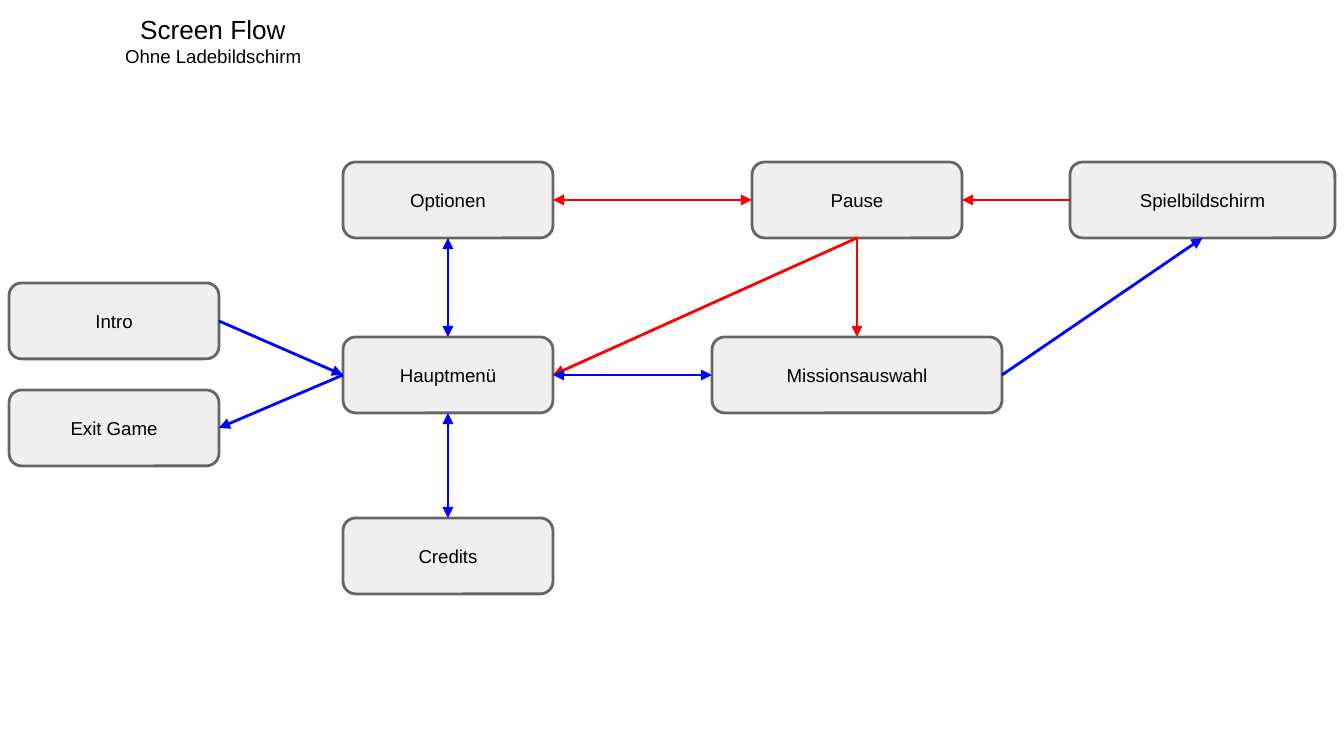
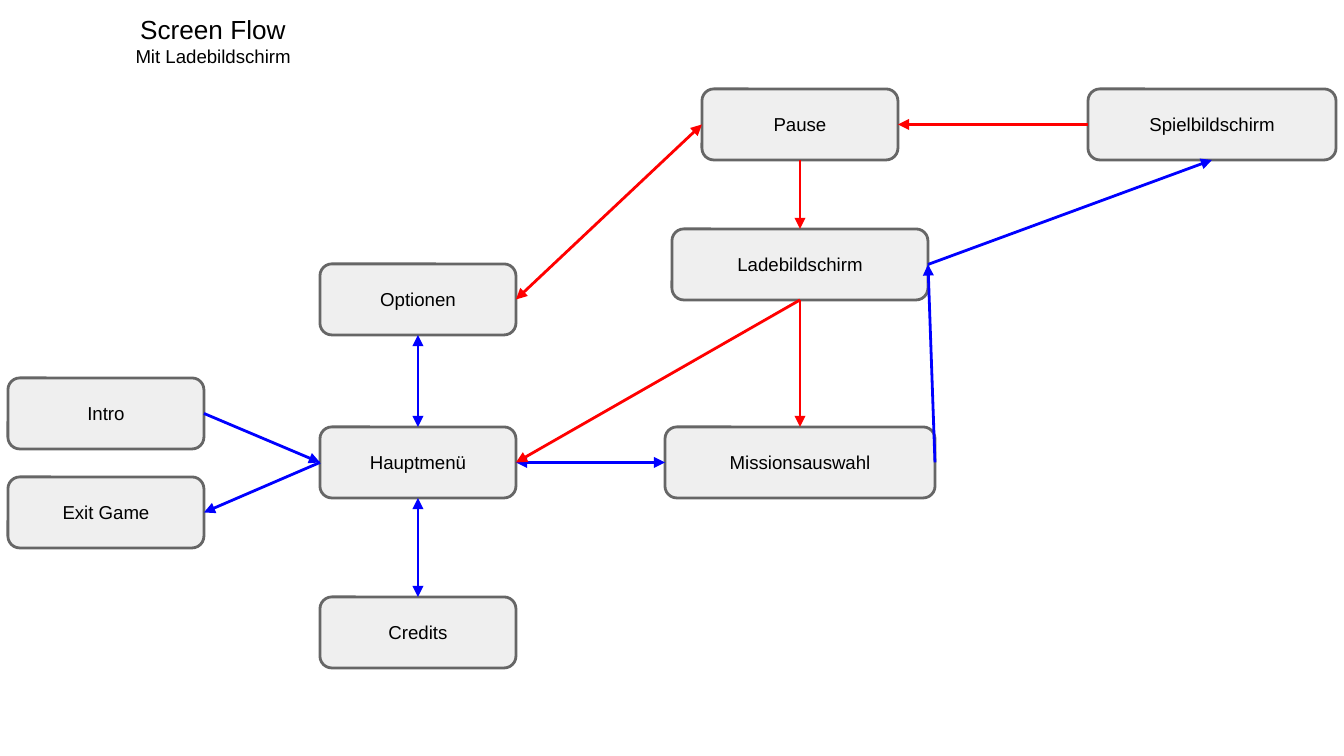
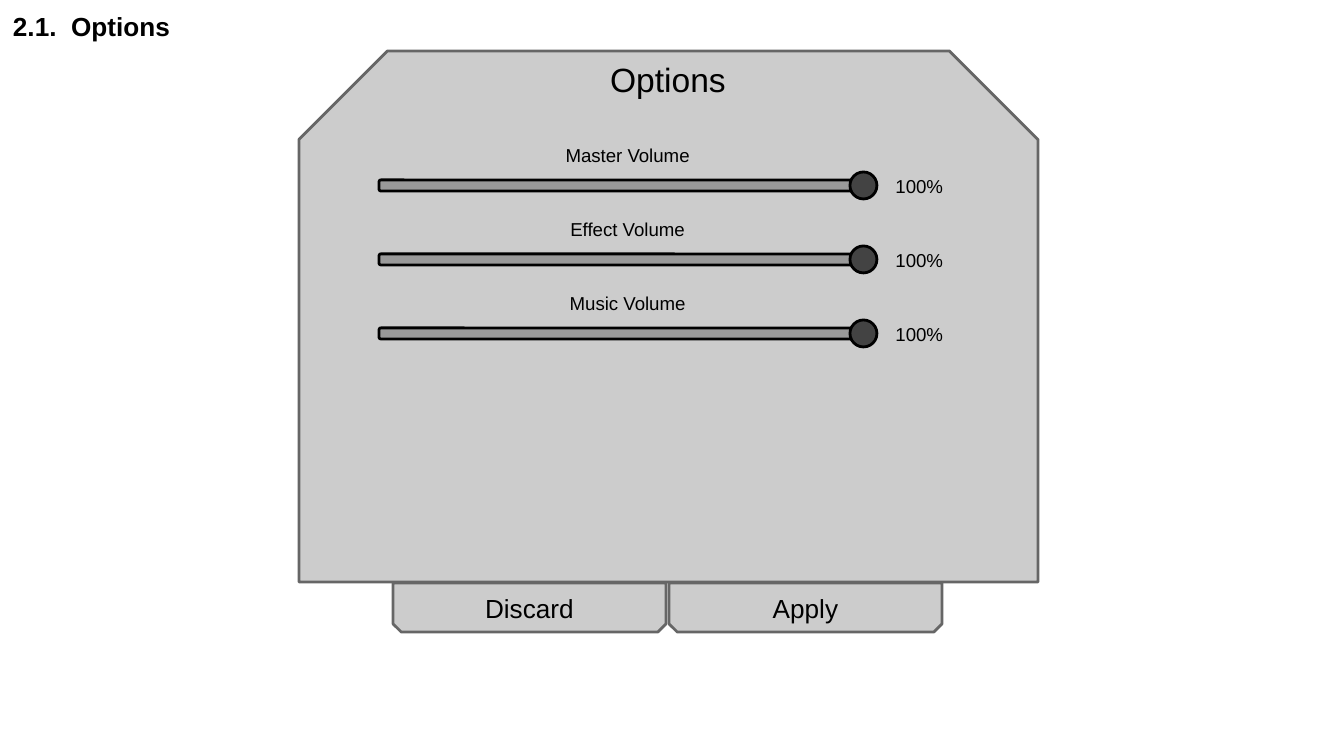
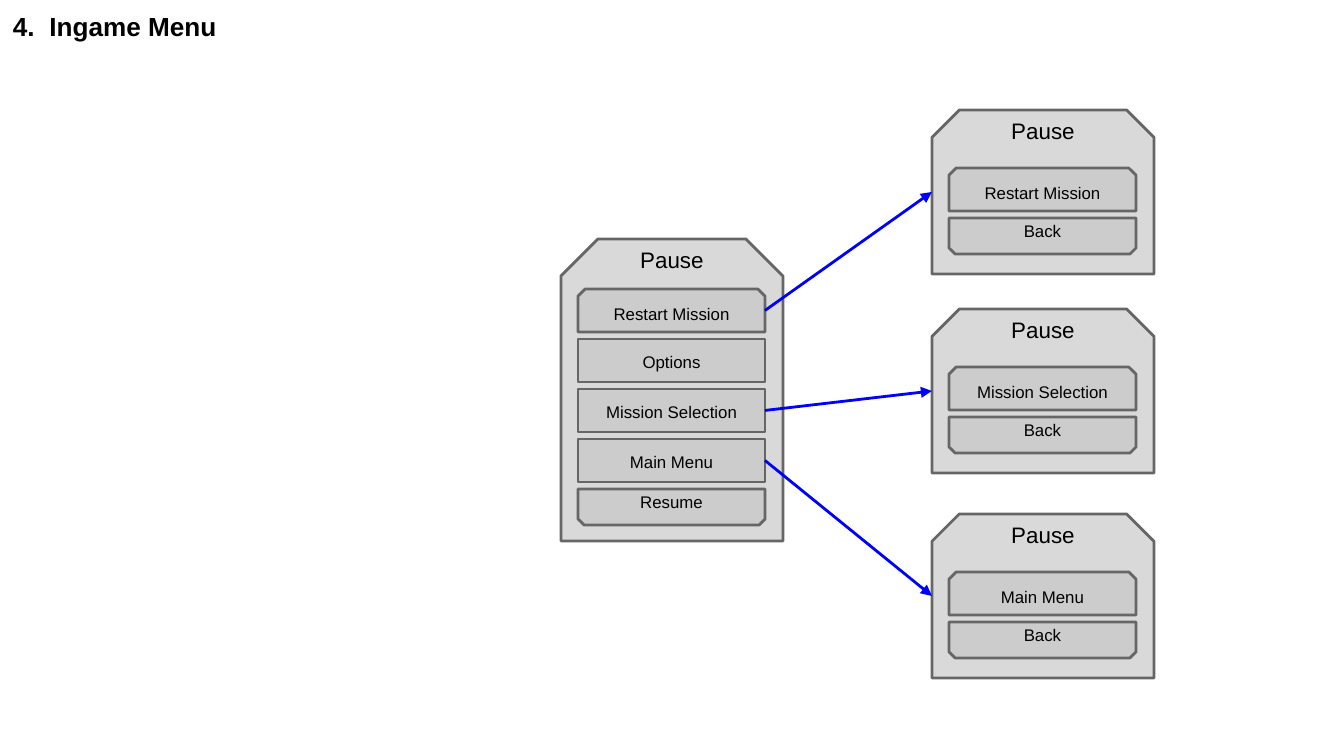
from lxml.etree import SubElement as Sub
from pptx import Presentation
from pptx.dml.color import RGBColor
from pptx.enum.shapes import MSO_CONNECTOR as Link, MSO_SHAPE as Kind
from pptx.enum.text import MSO_ANCHOR as Anchor, PP_ALIGN as Align
from pptx.oxml.ns import qn
from pptx.util import Pt

# Shared look; one px is 1/134.4 inch
PX = 914400 / 134.4
hue = RGBColor.from_string
BLACK, EDGE, PALE, GREY, PANEL = "000000", "666666", "EFEFEF", "CCCCCC", "D9D9D9"
BLUE, RED = "0000FF", "FF0000"
FRAME = {"word_wrap": True}
FRAME.update({f"margin_{side}": round(13 * PX) for side in ("left", "top", "right", "bottom")})
SIDES = {"l": (0, 0.5), "r": (1, 0.5), "t": (0.5, 0), "b": (0.5, 1)}
SNIP, ROUND = Kind.SNIP_2_SAME_RECTANGLE, Kind.ROUNDED_RECTANGLE
TITLE = {"sizes": (14,), "bold": True, "align": Align.LEFT, "anchor": Anchor.BOTTOM}


def box(page, at, text="", sizes=(10,), kind=None, fill=None, edge=EDGE, turn=0,
        anchor=Anchor.TOP, align=Align.CENTER, bold=False, lead=None):
    """Add a preset shape, or a text box if no kind is given."""
    place = [round(n * PX) for n in at]
    if kind is None:
        item = page.shapes.add_textbox(*place)
    else:
        item = page.shapes.add_shape(kind, *place)
        item.shadow.inherit = False
        item.rotation = turn
        item.fill.solid()
        item.fill.fore_color.rgb = hue(fill)
        item.line.color.rgb = hue(edge)
        item.line.width = Pt(1.5)
    if text:
        frame = item.text_frame
        frame.text = text
        for key, val in {**FRAME, "vertical_anchor": anchor}.items():
            setattr(frame, key, val)
        for para, size in zip(frame.paragraphs, sizes):
            for key, val in {"alignment": align, "line_spacing": lead}.items():
                setattr(para, key, val)
            font = para.runs[0].font
            for key, val in {"name": "Arial", "size": Pt(size), "bold": bold}.items():
                setattr(font, key, val)
            font.color.rgb = hue(BLACK)
    return item


def arrow(page, start, out, end, into, color, both=False):
    """Link the side of one shape to the side of another."""
    ends = []
    for item, side in ((start, out), (end, into)):
        dx, dy = SIDES[side]
        ends += [round(item.left + dx * item.width), round(item.top + dy * item.height)]
    link = page.shapes.add_connector(Link.STRAIGHT, *ends)
    link.line.color.rgb = hue(color)
    link.line.width = Pt(1.5)
    props = link._element.spPr
    line = props.find(qn("a:ln"))
    for tip in ("a:headEnd", "a:tailEnd") if both else ("a:tailEnd",):
        Sub(line, qn(tip), type="triangle")
    Sub(props, qn("a:effectLst"))


deck = Presentation()
deck.slide_width, deck.slide_height = round(1344 * PX), round(756 * PX)
blank = deck.slide_layouts[6]

# Screen flows: note, box width and height, boxes (x, y, own width), arrows
flows = [
    ("Ohne Ladebildschirm", 210, 76, {
        "Exit Game": (9, 390), "Hauptmenü": (343, 337), "Optionen": (343, 162),
        "Credits": (343, 518), "Missionsauswahl": (712, 337, 290),
        "Spielbildschirm": (1070, 162, 265), "Pause": (752, 162), "Intro": (9, 283),
    }, [
        ("Hauptmenü", "l", "Exit Game", "r", BLUE),
        ("Hauptmenü", "t", "Optionen", "b", BLUE, True),
        ("Hauptmenü", "b", "Credits", "t", BLUE, True),
        ("Spielbildschirm", "l", "Pause", "r", RED),
        ("Pause", "l", "Optionen", "r", RED, True),
        ("Pause", "b", "Hauptmenü", "r", RED),
        ("Pause", "b", "Missionsauswahl", "t", RED),
        ("Missionsauswahl", "r", "Spielbildschirm", "b", BLUE),
        ("Intro", "r", "Hauptmenü", "l", BLUE),
        ("Hauptmenü", "r", "Missionsauswahl", "l", BLUE, True),
    ]),
    ("Mit Ladebildschirm", 196, 71, {
        "Exit Game": (8, 477), "Hauptmenü": (320, 427), "Optionen": (320, 264),
        "Credits": (320, 597), "Missionsauswahl": (665, 427, 270),
        "Spielbildschirm": (1088, 89, 248), "Pause": (702, 89),
        "Ladebildschirm": (672, 229, 256), "Intro": (8, 378),
    }, [
        ("Hauptmenü", "l", "Exit Game", "r", BLUE),
        ("Hauptmenü", "r", "Missionsauswahl", "l", BLUE, True),
        ("Hauptmenü", "t", "Optionen", "b", BLUE, True),
        ("Hauptmenü", "b", "Credits", "t", BLUE, True),
        ("Ladebildschirm", "r", "Spielbildschirm", "b", BLUE),
        ("Spielbildschirm", "l", "Pause", "r", RED),
        ("Pause", "l", "Optionen", "r", RED, True),
        ("Pause", "b", "Ladebildschirm", "t", RED),
        ("Ladebildschirm", "b", "Hauptmenü", "r", RED),
        ("Ladebildschirm", "b", "Missionsauswahl", "t", RED),
        ("Missionsauswahl", "r", "Ladebildschirm", "r", BLUE),
        ("Intro", "r", "Hauptmenü", "l", BLUE),
    ]),
]
for note, wide, high, spots, links in flows:
    page = deck.slides.add_slide(blank)
    nodes = {}
    for name, (x, y, *own) in spots.items():
        at = (x, y, own[0] if own else wide, high)
        nodes[name] = box(page, at, name, kind=ROUND, fill=PALE, anchor=Anchor.MIDDLE)
    for start, out, end, into, *look in links:
        arrow(page, nodes[start], out, nodes[end], into, *look)
    box(page, (0, 0, 426, 71), "Screen Flow\n" + note, (14, 10))

# Options: panel and buttons
page = deck.slides.add_slide(blank)
box(page, (299, 51, 739, 531), kind=SNIP, fill=GREY)
box(page, (0, 0, 1142, 55), "2.1.  Options", **TITLE)
box(page, (399, 46, 538, 65), "Options", (18,))
for x, name in ((393, "Discard"), (669, "Apply")):
    box(page, (x, 583, 273, 49), kind=SNIP, fill=GREY, turn=180)
    box(page, (x, 579, 273, 55), name, (14,))

# Options: volume sliders
for row, name in enumerate(("Master", "Effect", "Music")):
    y = 133 + 74 * row
    box(page, (379, y + 47, 488, 11), kind=ROUND, fill="999999", edge=BLACK)
    box(page, (850, y + 39, 27, 27), kind=Kind.OVAL, fill="434343", edge=BLACK)
    box(page, (379, y, 497, 46), name + " Volume")
    box(page, (850, y + 30, 106, 46), "100%", anchor=Anchor.MIDDLE, align=Align.RIGHT)

# Ingame menu: panels (x, y, height, gap above the buttons, labels)
page = deck.slides.add_slide(blank)
box(page, (0, 0, 1142, 55), "4.  Ingame Menu", **TITLE)
menus = [
    (561, 239, 302, 50, ("Restart Mission", "Options", "Mission Selection", "Main Menu", "Resume")),
    (932, 110, 164, 58, ("Restart Mission", "Back")),
    (932, 309, 164, 58, ("Mission Selection", "Back")),
    (932, 514, 164, 58, ("Main Menu", "Back")),
]
keys, goals = {}, {}
for x, y, high, gap, names in menus:
    goals[names[0]] = box(page, (x, y, 222, high), kind=SNIP, fill=PANEL)
    box(page, (x, y - 6, 222, 65), "Pause", (12,))
    left, top = x + 17, y + gap
    *upper, last = names
    for row, name in enumerate(upper):
        key = box(page, (left, top + 50 * row, 187, 43), name, (9,), fill=GREY, lead=1.15,
                  kind=Kind.RECTANGLE if row else SNIP, anchor=Anchor.MIDDLE)
        keys.setdefault(name, key)
    foot = top + 50 * len(upper)
    box(page, (left, foot, 187, 36), kind=SNIP, fill=GREY, turn=180)
    box(page, (left, foot - 7, 187, 36), last, (9,))

# Ingame menu: each button leads to the panel that confirms it
for *_, names in menus[1:]:
    arrow(page, keys[names[0]], "r", goals[names[0]], "l", BLUE)

deck.save("out.pptx")
